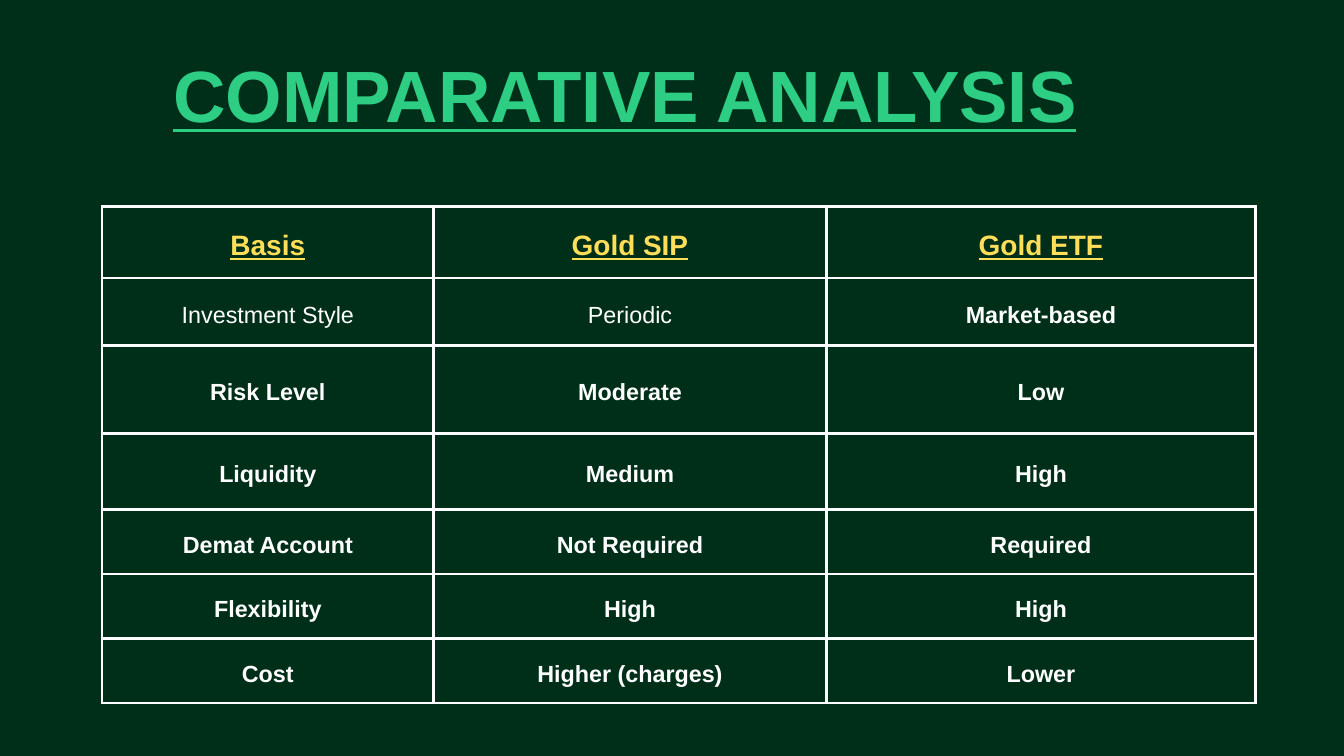
"""Build the comparative analysis slide for Gold SIP and Gold ETF."""
from lxml.etree import SubElement
from pptx import Presentation
from pptx.dml.color import RGBColor
from pptx.enum.text import MSO_ANCHOR as Anchor, PP_ALIGN as Align
from pptx.oxml.ns import qn
from pptx.util import Inches, Pt

COLOURS = {"background": "002F19", "title": "2DCD84", "header": "FFDE59", "body": "FFFFFF", "border": "FFFFFF"}
COLUMN_WIDTHS = [4.93, 5.85, 6.38]
ROW_HEIGHTS = [1.07, 1, 1.31, 1.13, 0.96, 0.96, 0.96]
ROWS = [
    ["Basis", "Gold SIP", "Gold ETF"],
    ["Investment Style", "Periodic", "Market-based"],
    ["Risk Level", "Moderate", "Low"],
    ["Liquidity", "Medium", "High"],
    ["Demat Account", "Not Required", "Required"],
    ["Flexibility", "High", "High"],
    ["Cost", "Higher (charges)", "Lower"],
]
REGULAR_CELLS = {"Investment Style", "Periodic"}


def write(frame, text, size, spacing, colour, bold=True, underline=False):
    frame.text = text
    para = frame.paragraphs[0]
    para.alignment = Align.CENTER
    para.line_spacing = Pt(spacing)
    font = para.runs[0].font
    font.name = "Arial"
    font.size = Pt(size)
    font.bold = bold
    font.underline = underline
    font.color.rgb = RGBColor.from_string(COLOURS[colour])


def add_borders(cell):
    properties = cell._tc.get_or_add_tcPr()
    for index, side in enumerate(["lnL", "lnR", "lnT", "lnB"]):
        line = SubElement(properties, qn(f"a:{side}"), w=str(Pt(3)))
        fill = SubElement(line, qn("a:solidFill"))
        SubElement(fill, qn("a:srgbClr"), val=COLOURS["border"])
        properties.insert(index, line)


deck = Presentation()
deck.slide_width = Inches(20)
deck.slide_height = Inches(11.25)
page = deck.slides.add_slide(deck.slide_layouts[6])
page.background.fill.solid()
page.background.fill.fore_color.rgb = RGBColor.from_string(COLOURS["background"])

table = page.shapes.add_table(
    len(ROWS), len(COLUMN_WIDTHS), Inches(1.52), Inches(3.07),
    Inches(sum(COLUMN_WIDTHS)), Inches(sum(ROW_HEIGHTS)),
).table
table.first_row = False
table.horz_banding = False
for column, width in zip(table.columns, COLUMN_WIDTHS):
    column.width = Inches(width)
for row, height in zip(table.rows, ROW_HEIGHTS):
    row.height = Inches(height)

for row_index, texts in enumerate(ROWS):
    for column_index, text in enumerate(texts):
        cell = table.cell(row_index, column_index)
        cell.fill.background()
        cell.vertical_anchor = Anchor.MIDDLE
        cell.margin_left = cell.margin_right = Inches(0.21)
        cell.margin_top = cell.margin_bottom = Inches(0.21)
        add_borders(cell)
        if row_index == 0:
            write(cell.text_frame, text, 30, 42, "header", underline=True)
        else:
            write(cell.text_frame, text, 25, 35, "body", bold=text not in REGULAR_CELLS)

title = page.shapes.add_textbox(Inches(-0.27), Inches(0.68), Inches(19.14), Inches(1.51))
frame = title.text_frame
frame.word_wrap = True
frame.margin_left = frame.margin_right = frame.margin_top = frame.margin_bottom = 0
write(frame, "COMPARATIVE ANALYSIS", 77.8, 98.1, "title", underline=True)

deck.save("out.pptx")
